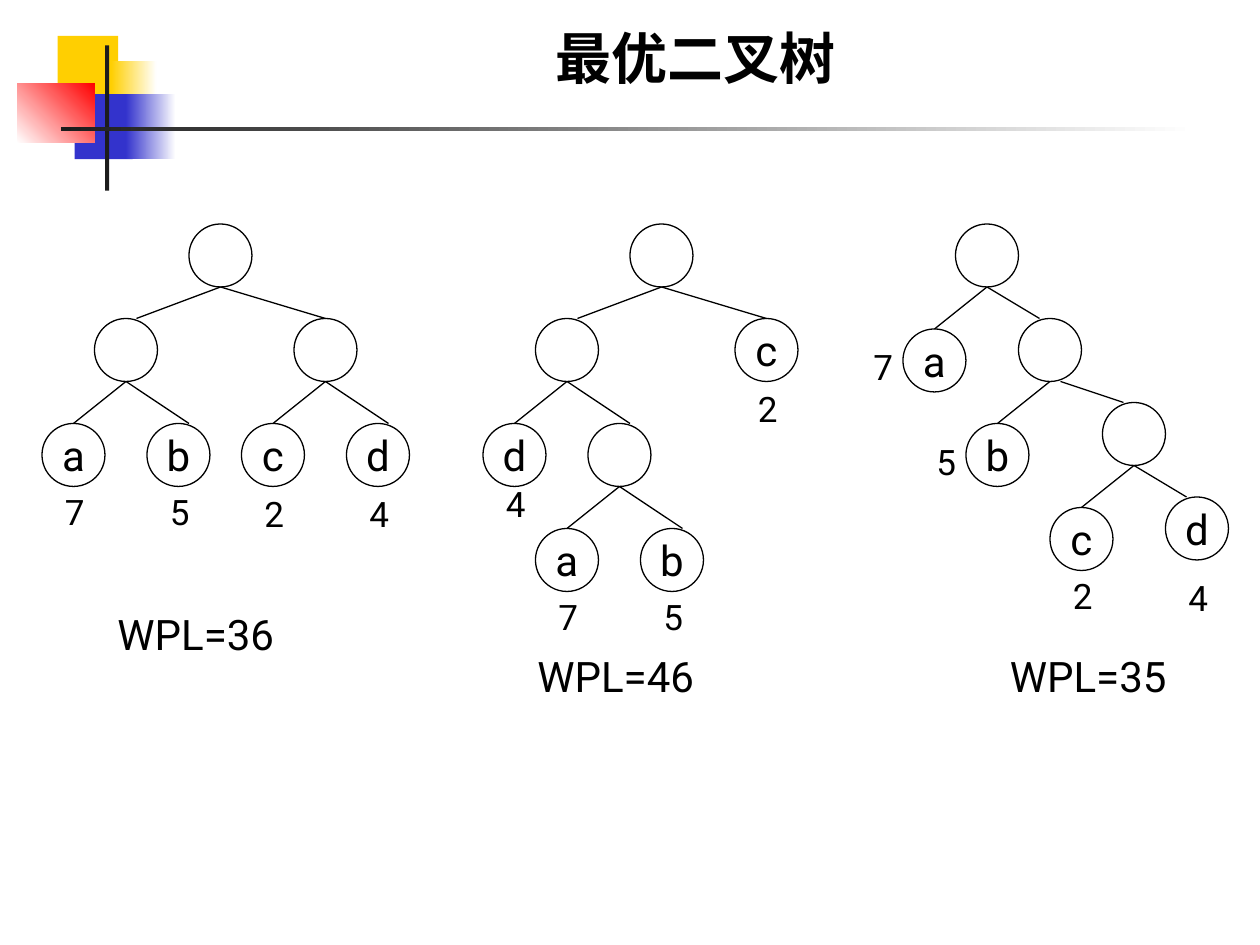
import pptx
import pptx.util
import pptx.dml.color
import pptx.enum.dml
import pptx.enum.shapes
import pptx.enum.text
import pptx.oxml.ns
import lxml.etree

Pt = pptx.util.Pt
ALIGN = pptx.enum.text.PP_ALIGN
ANCHOR = pptx.enum.text.MSO_ANCHOR
SHAPE = pptx.enum.shapes.MSO_SHAPE

FONT = "Roboto"
COLORS = {"black": "000000", "white": "FFFFFF", "yellow": "FFCF01",
          "blue": "3333CC", "red": "FF0000", "dark": "1C1C1C"}
TITLE = "最优二叉树"
RADIUS = 18

DECOR = [
    ((33, 20.5, 34.5, 37.5), ["yellow"], 0),
    ((63.5, 34.8, 26, 37.5), ["yellow", "white"], 0),
    ((42.6, 53.8, 33.2, 37.2), ["blue"], 0),
    ((72, 53.8, 28.5, 37.2), ["blue", "white"], 0),
    ((9.8, 47.7, 44.3, 33.8), ["white", "red"], 45),
    ((60, 26, 2.4, 83), ["dark"], 0),
    ((34.8, 72.6, 648, 2.5), ["dark", "white"], 0),
]

TREES = [
    {"nodes": {"root": (126, 146), "left": (72, 200), "right": (186, 200),
               "a": (42, 260), "b": (102, 260), "c": (156, 260), "d": (216, 260)},
     "edges": [("root", "left", 0, 6), ("root", "right", 0, 0),
               ("left", "a", 0, 0), ("left", "b", 0, 6),
               ("right", "c", 0, 0), ("right", "d", 0, 6)],
     "weights": [("a", "7", 0, 17), ("b", "5", 0, 17),
                 ("c", "2", 0, 18), ("d", "4", 0, 18)],
     "total": ("WPL=36", 60, 344)},
    {"nodes": {"root": (378, 146), "left": (324, 200), "c": (438, 200),
               "d": (294, 260), "inner": (354, 260), "a": (324, 320), "b": (384, 320)},
     "edges": [("root", "left", 0, 6), ("root", "c", 0, 0),
               ("left", "d", 0, 0), ("left", "inner", 0, 6),
               ("inner", "a", 0, 0), ("inner", "b", 0, 6)],
     "weights": [("a", "7", 0, 17), ("b", "5", 0, 17),
                 ("d", "4", 0, 12), ("c", "2", 0, 18)],
     "total": ("WPL=46", 300, 368)},
    {"nodes": {"root": (564, 146), "right": (600, 200), "inner": (648, 248),
               "a": (534, 206), "b": (570, 260), "c": (618, 308), "d": (684, 302)},
     "edges": [("root", "a", 0, 0), ("root", "right", 0, -6),
               ("right", "b", 0, 0), ("right", "inner", 6, -6),
               ("inner", "c", 0, 0), ("inner", "d", 0, -6)],
     "weights": [("a", "7", -30, -12), ("b", "5", -30, -12),
                 ("c", "2", 0, 17), ("d", "4", 0, 24)],
     "total": ("WPL=35", 570, 368)},
]


def rgb(name):
    return pptx.dml.color.RGBColor.from_string(COLORS[name])


def style(p, size, align=ALIGN.LEFT, bold=False):
    p.alignment = align
    p.font.name, p.font.size, p.font.bold = FONT, Pt(size), bold
    p.font.color.rgb = rgb("black")


def add_decor(shapes, box, colors, angle):
    sp = shapes.add_shape(SHAPE.RECTANGLE, *map(Pt, box))
    sp.shadow.inherit = False
    sp.line.fill.background()
    if len(colors) == 1:
        sp.fill.solid()
        sp.fill.fore_color.rgb = rgb(colors[0])
    else:
        sp.fill.gradient()
        sp.fill.gradient_angle = angle
        for stop, color in zip(sp.fill.gradient_stops, colors):
            stop.color.rgb = rgb(color)


def add_label(shapes, text, x, y, w, h, size):
    tf = shapes.add_textbox(Pt(x), Pt(y), Pt(w), Pt(h)).text_frame
    tf.word_wrap = True
    tf.text = text
    style(tf.paragraphs[0], size)


def add_node(shapes, name, x, y):
    sp = shapes.add_shape(SHAPE.OVAL, Pt(x - RADIUS), Pt(y - RADIUS),
                          Pt(2 * RADIUS), Pt(2 * RADIUS))
    sp.shadow.inherit = False
    sp.fill.background()
    sp.line.color.rgb = rgb("black")
    sp.line.width = Pt(0.75)
    if len(name) == 1:
        tf = sp.text_frame
        tf.margin_left = tf.margin_right = tf.margin_top = tf.margin_bottom = 0
        tf.word_wrap = False
        tf.vertical_anchor = ANCHOR.MIDDLE
        tf.text = name
        style(tf.paragraphs[0], 24, ALIGN.CENTER)


def add_edge(shapes, start, end, start_dx, end_dx):
    line = shapes.add_connector(
        pptx.enum.shapes.MSO_CONNECTOR.STRAIGHT,
        Pt(start[0] + start_dx), Pt(start[1] + RADIUS),
        Pt(end[0] + end_dx), Pt(end[1] - RADIUS))
    line.line.color.rgb = rgb("black")
    line.line.width = Pt(0.75)
    lxml.etree.SubElement(line._element.spPr, pptx.oxml.ns.qn("a:effectLst"))


def add_tree(s, tree):
    shapes = s.shapes.add_group_shape().shapes
    nodes = tree["nodes"]
    for parent, child, start_dx, end_dx in tree["edges"]:
        add_edge(shapes, nodes[parent], nodes[child], start_dx, end_dx)
    for name, (x, y) in nodes.items():
        add_node(shapes, name, x, y)
    for name, weight, dx, dy in tree["weights"]:
        x, y = nodes[name]
        add_label(shapes, weight, x + dx - 12, y + dy, 24, 32, 20)


def main():
    prs = pptx.Presentation()
    prs.slide_width, prs.slide_height = Pt(720), Pt(540)
    s = prs.slides.add_slide(prs.slide_layouts[5])

    title = s.shapes.title
    title.left, title.top, title.width, title.height = map(Pt, (91, 23, 613, 32.5))
    tf = title.text_frame
    tf.text = TITLE
    tf.auto_size = pptx.enum.text.MSO_AUTO_SIZE.NONE
    tf.vertical_anchor = ANCHOR.BOTTOM
    style(tf.paragraphs[0], 32, ALIGN.CENTER, True)

    for box, colors, angle in DECOR:
        add_decor(s.shapes, box, colors, angle)
    for tree in TREES:
        add_tree(s, tree)
    for tree in TREES:
        text, x, y = tree["total"]
        add_label(s.shapes, text, x, y, 126, 36, 24)
    prs.save("out.pptx")


if __name__ == "__main__":
    main()
